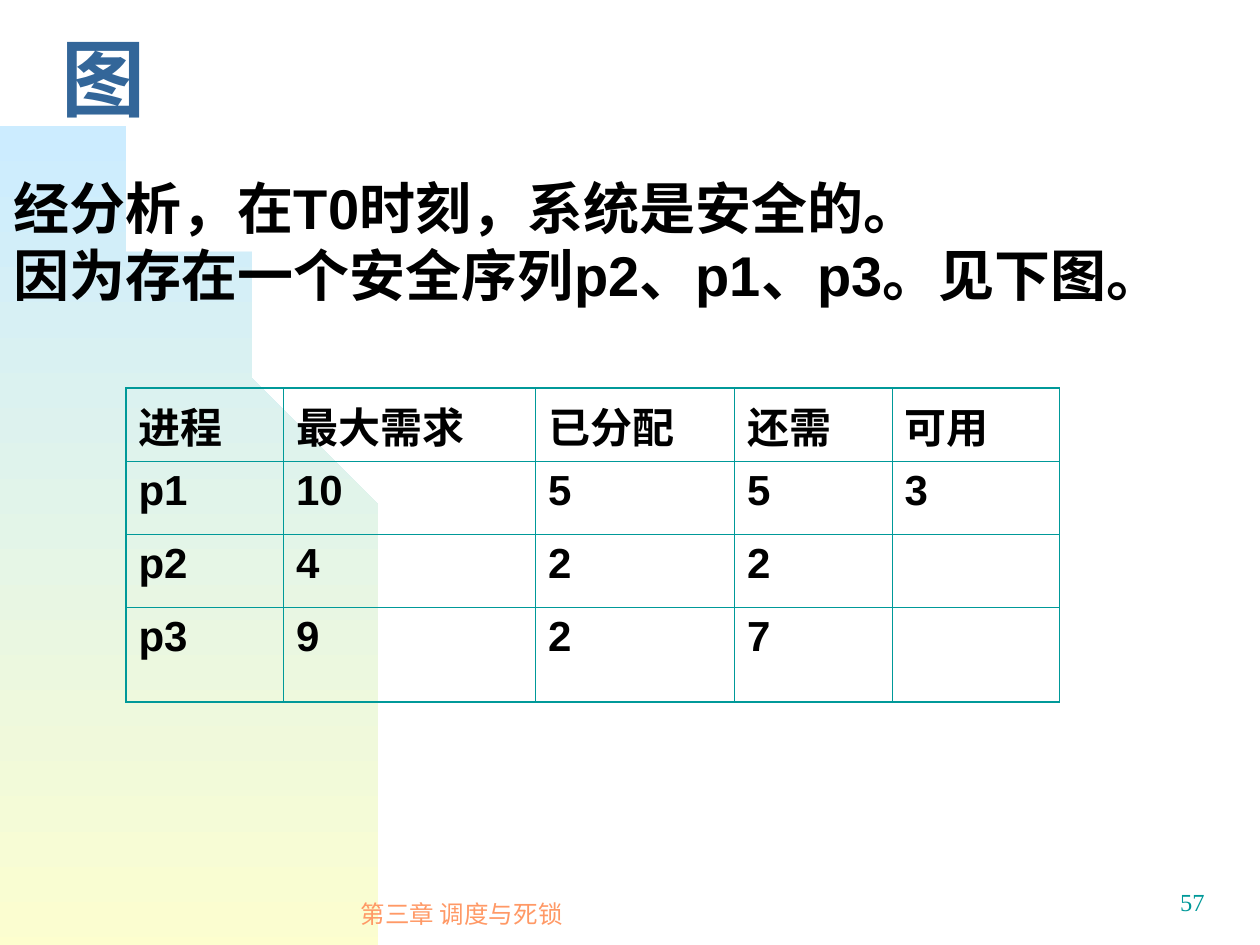
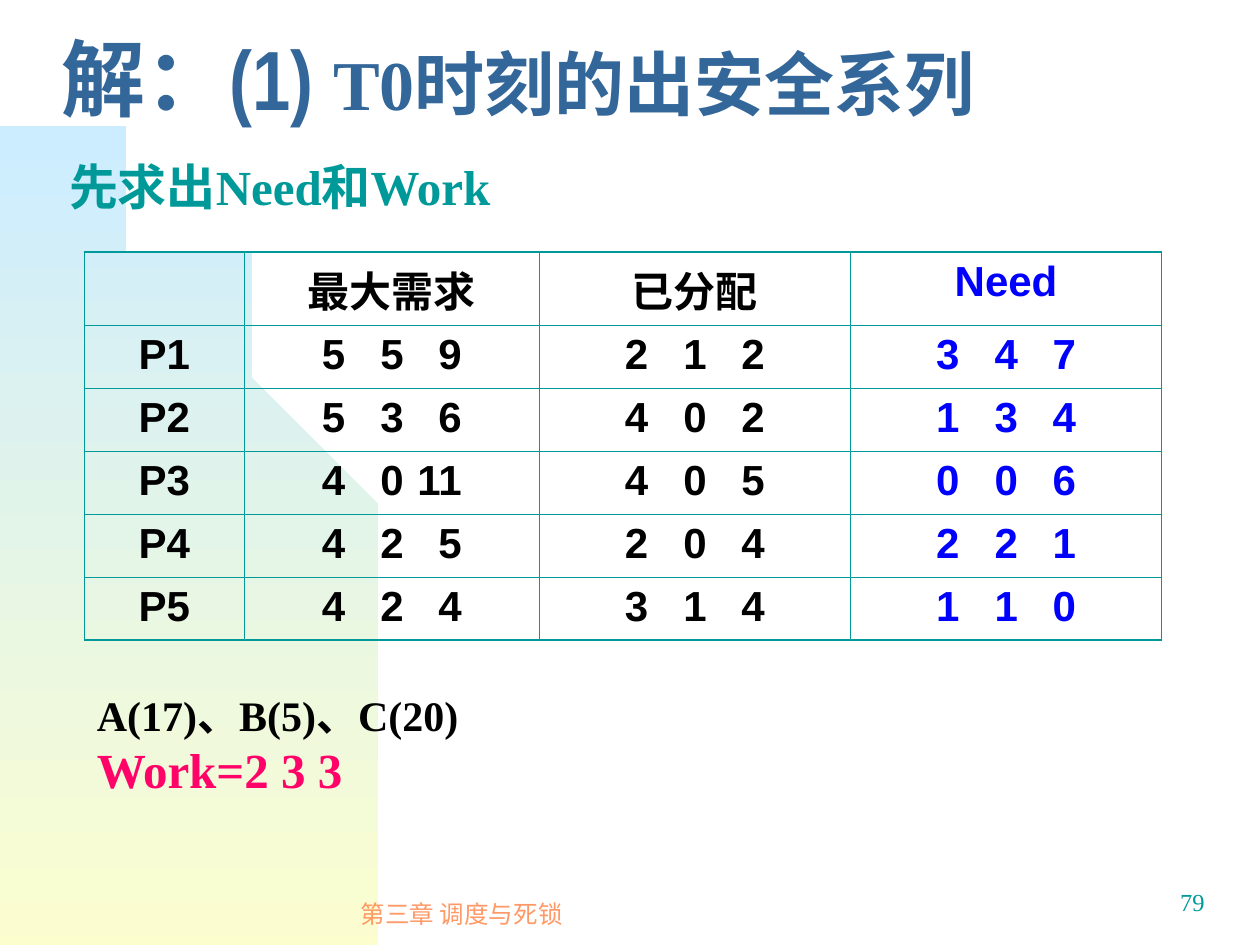
from lxml import etree
from pptx import Presentation
from pptx import util as u
from pptx.dml.color import RGBColor
from pptx.enum import text
from pptx.oxml import ns

TEAL, BLACK, BLUE = "009999", "000000", "0000FF"
NAVY, ORANGE, PINK = "336699", "FF9966", "FF0369"
SKY, CREAM = "CCECFF", "FFFFCC"
SANS, NARROW, SERIF = "Arial", "Arial Narrow", "Times New Roman"
HAN = "Noto Sans CJK SC"
LEFT, MID, RIGHT = text.PP_ALIGN.LEFT, text.PP_ALIGN.CENTER, text.PP_ALIGN.RIGHT
THIN, THICK = 0.45, 1.08
TRIPLE, STOPS = 1.11, (0.65, 1.11)


def color(code):
    return RGBColor.from_string(code)


def add(parent, tag, **attrs):
    return etree.SubElement(parent, ns.qn(tag), attrs)


def style(font, size, name, code, bold=True):
    font.size, font.name, font.bold = u.Pt(size), name, bold
    font.color.rgb = color(code)
    add(font._rPr, "a:ea", typeface=HAN)


def add_box(slide, area, lines, align=LEFT, wrap=False,
            anchor=text.MSO_ANCHOR.TOP):
    frame = slide.shapes.add_textbox(*map(u.Inches, area)).text_frame
    frame.word_wrap, frame.vertical_anchor = wrap, anchor
    for i, (words, *look) in enumerate(lines):
        para = frame.add_paragraph() if i else frame.paragraphs[0]
        para.text, para.alignment = words, align
        style(para.font, *look)


def add_arc(slide, layout):
    steps = [i / 40 for i in range(41)]

    def curve(t, a, b, c, d):
        s = 1 - t
        return a * s**3 + 3 * b * s * s * t + 3 * c * s * t * t + d * t**3

    points = [(curve(t, 0, 1.75, 3.17, 3.17), curve(t, 0.92, 0.92, 3.87, 7.5))
              for t in steps]
    path = slide.shapes.build_freeform(0, 7.5, scale=u.Inches(1))
    path.add_line_segments(points, close=True)
    arc = path.convert_to_shape()
    arc.shadow.inherit = False
    arc.line.fill.background()
    arc.fill.gradient()
    arc.fill.gradient_angle = 270
    for stop, code in zip(arc.fill.gradient_stops, (SKY, CREAM)):
        stop.color.rgb = color(code)
    layout.shapes._spTree.append(arc._element)


def add_slide(deck, layout, page, parts):
    slide = deck.slides.add_slide(layout)
    title = slide.shapes.title
    title.left, title.top, title.width, title.height = map(
        u.Inches, (0.39, 0.17, 9.44, 1.08))
    frame = title.text_frame
    frame.auto_size = text.MSO_AUTO_SIZE.NONE
    frame.vertical_anchor = text.MSO_ANCHOR.MIDDLE
    para = frame.paragraphs[0]
    para.alignment, para.line_spacing = LEFT, 0.7
    for words, size, name in parts:
        run = para.add_run()
        run.text = words
        style(run.font, size, name, NAVY)
    add_box(slide, (2.08, 7, 3.17, 0.5),
            [("第三章 调度与死锁", 14, SANS, ORANGE, False)],
            MID, anchor=text.MSO_ANCHOR.MIDDLE)
    add_box(slide, (7.58, 6.99, 2.08, 0.5),
            [(page, 14, SERIF, TEAL, False)], RIGHT, wrap=True)
    return slide


def set_edges(cell, outer):
    props = cell._tc.get_or_add_tcPr()
    for side, edge in zip("LRTB", outer):
        width = u.Pt(THICK if edge else THIN)
        line = add(props, f"a:ln{side}", w=str(int(width)))
        add(add(line, "a:solidFill"), "a:srgbClr", val=TEAL)
    cell.fill.background()


def set_triple(cell, para, width):
    cell.margin_left = u.Inches((width - TRIPLE) / 2)
    cell.margin_right = 0
    tabs = add(para._p.get_or_add_pPr(), "a:tabLst")
    for stop in STOPS:
        add(tabs, "a:tab", pos=str(int(u.Inches(stop))), algn="r")


def add_table(slide, left, top, cols, rows, data, align=LEFT, tint=None):
    area = map(u.Inches, (left, top, sum(cols), sum(rows)))
    table = slide.shapes.add_table(len(rows), len(cols), *area).table
    table.first_row = table.horz_banding = False
    for col, width in zip(table.columns, cols):
        col.width = u.Inches(width)
    for row, height in zip(table.rows, rows):
        row.height = u.Inches(height)
    for r, words in enumerate(data):
        for c, word in enumerate(words):
            cell = table.cell(r, c)
            para = cell.text_frame.paragraphs[0]
            para.text = word
            if "\t" in word:
                set_triple(cell, para, cols[c])
            else:
                para.alignment = align
            style(para.font, 24, SANS, BLUE if c == tint else BLACK)
            set_edges(cell, (c == 0, c == len(cols) - 1,
                             r == 0, r == len(rows) - 1))


def main():
    deck = Presentation()
    deck.slide_width, deck.slide_height = u.Inches(10), u.Inches(7.5)
    layout = deck.slide_layouts[5]

    safe = add_slide(deck, layout, "57", [("图", 48, SERIF)])
    add_arc(safe, layout)
    add_table(safe, 1, 3.08, (1.25, 2, 1.58, 1.25, 1.33),
              (0.58, 0.58, 0.58, 0.75),
              [("进程", "最大需求", "已分配", "还需", "可用"),
               ("p1", "10", "5", "5", "3"),
               ("p2", "4", "2", "2", ""),
               ("p3", "9", "2", "7", "")])
    add_box(safe, (0.01, 1.33, 9.96, 1.7),
            [(words, 32, SANS, BLACK) for words in (
                "经分析，在T0时刻，系统是安全的。",
                "因为存在一个安全序列p2、p1、p3。见下图。")])

    need = add_slide(deck, layout, "79", [
        ("解：(1) ", 48, NARROW), ("T0时刻的出安全系列", 40, SERIF)])
    claims = [("5 5 9", "2 1 2", "3 4 7"),
              ("5 3 6", "4 0 2", "1 3 4"),
              ("4 0 11", "4 0 5", "0 0 6"),
              ("4 2 5", "2 0 4", "2 2 1"),
              ("4 2 4", "3 1 4", "1 1 0")]
    data = [("", "最大需求", "已分配", "Need")]
    for i, row in enumerate(claims, 1):
        data.append((f"P{i}", *(item.replace(" ", "\t") for item in row)))
    add_table(need, 0.67, 2, (1.27, 2.34, 2.47, 2.47), (0.58,) + (0.5,) * 5,
              data, MID, tint=3)
    add_box(need, (0.67, 5.42, 4.75, 0.97),
            [("A(17)、B(5)、C(20)", 24, SERIF, BLACK),
             ("Work=2 3 3", 28, SERIF, PINK)], wrap=True)
    add_box(need, (0.45, 1.19, 3.84, 0.57),
            [("先求出Need和Work", 28, SERIF, TEAL)])

    deck.save("out.pptx")


if __name__ == "__main__":
    main()
